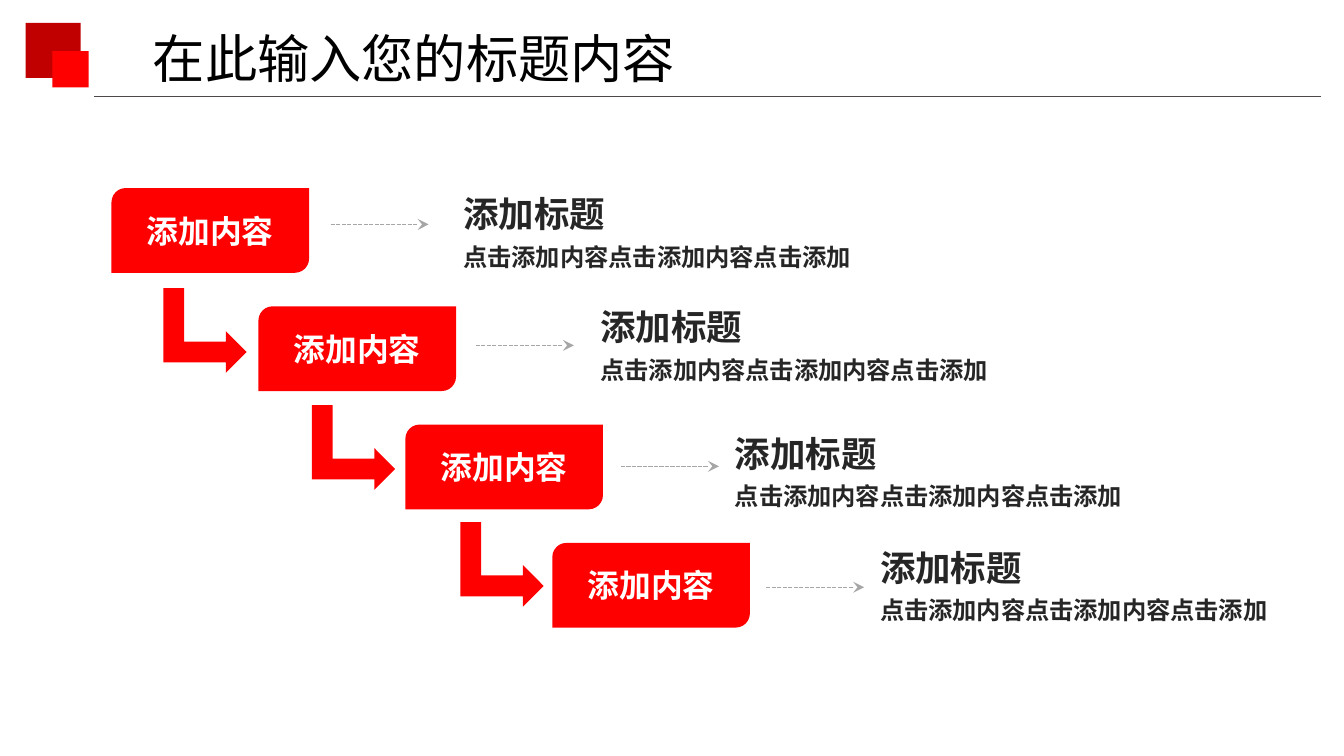
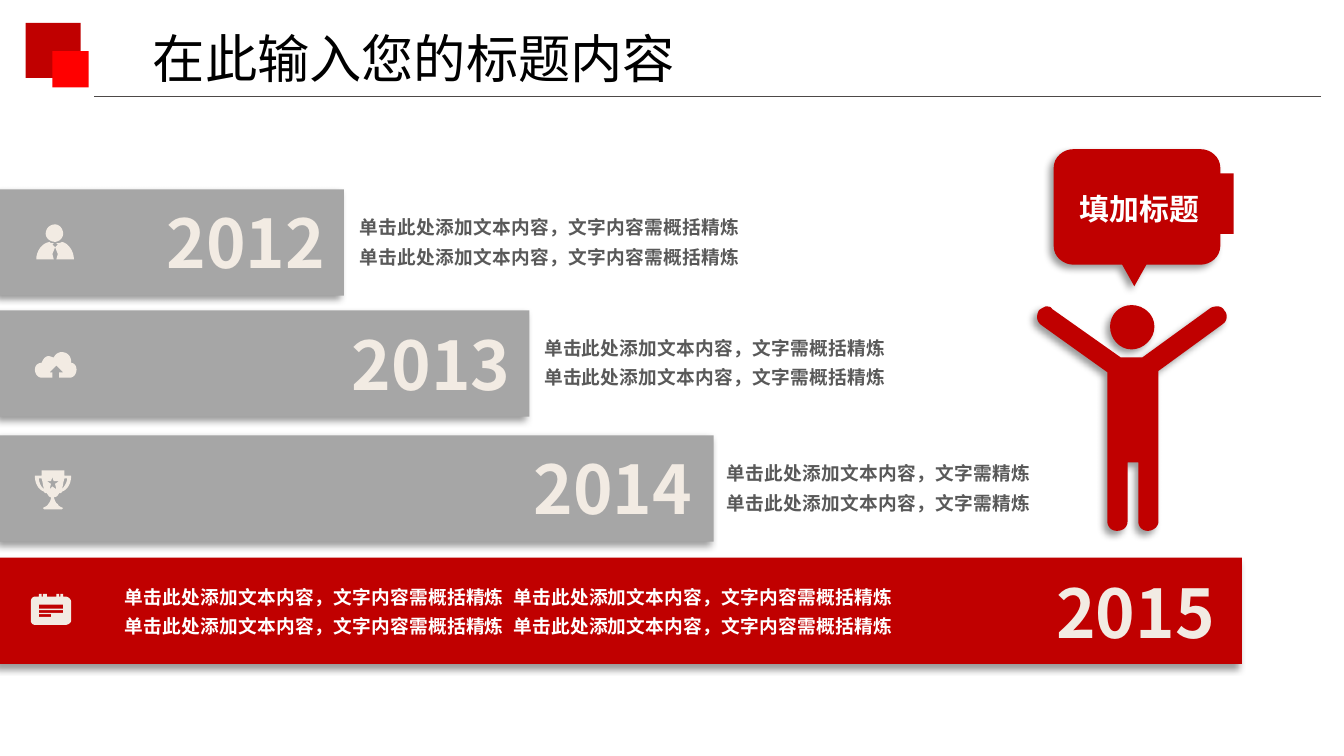
from lxml import etree
from pptx import Presentation
from pptx.dml.color import RGBColor
from pptx.enum.dml import MSO_LINE
from pptx.enum.shapes import MSO_CONNECTOR, MSO_SHAPE
from pptx.enum.text import MSO_ANCHOR, MSO_AUTO_SIZE, PP_ALIGN
from pptx.oxml.ns import qn
from pptx.util import Inches, Pt

RECT = MSO_SHAPE.RECTANGLE
CARD = MSO_SHAPE.ROUND_2_DIAG_RECTANGLE
BENT = MSO_SHAPE.BENT_UP_ARROW
LINE = MSO_CONNECTOR.STRAIGHT
DASH = MSO_LINE.SQUARE_DOT
MIDDLE = MSO_ANCHOR.MIDDLE
TOP = MSO_ANCHOR.TOP
LEFT = PP_ALIGN.LEFT
CENTER = PP_ALIGN.CENTER
GROW = MSO_AUTO_SIZE.SHAPE_TO_FIT_TEXT
FIXED = MSO_AUTO_SIZE.NONE

WIDE = Inches(10)
HIGH = WIDE * 9 // 16
FONT = "Noto Sans CJK SC"
COLORS = {
    "dark": "C00000", "red": "FF0000", "rule": "4D4948", "gray": "A6A6A6",
    "cream": "F2EBE3", "white": "FFFFFF", "black": "000000",
    "ink": "262626", "soft": "595959",
}

TITLE = "在此输入您的标题内容"

STEPS = [
    ("添加内容", "添加标题", "点击添加内容点击添加内容点击添加", 3.35, 1.4),
    ("添加内容", "添加标题", "点击添加内容点击添加内容点击添加", 4.37, 2.24),
    ("添加内容", "添加标题", "点击添加内容点击添加内容点击添加", 5.37, 3.18),
    ("添加内容", "添加标题", "点击添加内容点击添加内容点击添加", 6.45, 4.03),
]

USER = """
M 0.46 1.8 C 0.51 1.81 0.55 1.87 0.55 1.93 L 0.42 1.93 L 0.43 1.89 L 0.41 1.84
L 0.43 1.82 L 0.42 1.81 C 0.43 1.81 0.45 1.81 0.46 1.8
M 0.37 1.8 C 0.37 1.81 0.39 1.81 0.4 1.81 L 0.39 1.82 L 0.41 1.84 L 0.39 1.89
L 0.4 1.93 L 0.27 1.93 C 0.27 1.87 0.31 1.81 0.37 1.8
M 0.41 1.67 C 0.44 1.67 0.47 1.7 0.47 1.74 C 0.47 1.77 0.44 1.8 0.41 1.8
C 0.37 1.8 0.34 1.77 0.34 1.74 C 0.34 1.7 0.37 1.67 0.41 1.67
"""
CLOUD = """
M 0.46 2.62 C 0.5 2.62 0.53 2.65 0.53 2.69 L 0.53 2.7 C 0.55 2.7 0.57 2.72 0.57 2.75
C 0.57 2.78 0.55 2.81 0.52 2.81 L 0.44 2.81 L 0.44 2.77 L 0.47 2.77 L 0.42 2.72
L 0.37 2.77 L 0.39 2.77 L 0.39 2.81 L 0.31 2.81 C 0.28 2.81 0.26 2.78 0.26 2.75
C 0.26 2.72 0.28 2.7 0.31 2.7 C 0.32 2.67 0.34 2.65 0.36 2.65
C 0.38 2.65 0.39 2.66 0.4 2.66 C 0.41 2.64 0.43 2.62 0.46 2.62
"""
CUP = """
M 0.48 3.56 C 0.47 3.59 0.47 3.62 0.46 3.64 C 0.48 3.62 0.5 3.59 0.5 3.56
M 0.29 3.56 C 0.29 3.59 0.31 3.63 0.33 3.64 C 0.32 3.62 0.32 3.59 0.31 3.56
M 0.39 3.55 L 0.38 3.58 L 0.35 3.58 L 0.38 3.6 L 0.37 3.64 L 0.39 3.62 L 0.42 3.64
L 0.41 3.6 L 0.44 3.58 L 0.4 3.58
M 0.31 3.5 L 0.48 3.5 C 0.48 3.52 0.48 3.53 0.48 3.54 L 0.53 3.54
C 0.53 3.59 0.51 3.64 0.46 3.66 C 0.46 3.67 0.45 3.67 0.44 3.67
C 0.43 3.69 0.42 3.7 0.4 3.7 C 0.41 3.72 0.41 3.74 0.43 3.75
C 0.44 3.77 0.45 3.77 0.47 3.78 L 0.46 3.79 L 0.33 3.79 L 0.32 3.78
C 0.33 3.77 0.35 3.77 0.36 3.75 C 0.37 3.74 0.38 3.72 0.38 3.7
C 0.37 3.7 0.36 3.69 0.35 3.67 C 0.34 3.67 0.33 3.67 0.33 3.66
C 0.28 3.64 0.26 3.59 0.26 3.54 L 0.31 3.54 C 0.31 3.53 0.31 3.52 0.31 3.5
"""
NOTE = """
M 0.29 4.57 L 0.29 4.59 L 0.38 4.59 L 0.38 4.57
M 0.29 4.54 L 0.29 4.56 L 0.47 4.56 L 0.47 4.54
M 0.29 4.5 L 0.29 4.53 L 0.47 4.53 L 0.47 4.5
M 0.29 4.42 L 0.31 4.42 L 0.31 4.44 L 0.32 4.44 L 0.32 4.42 L 0.35 4.42 L 0.35 4.44
L 0.42 4.44 L 0.42 4.42 L 0.44 4.42 L 0.44 4.44 L 0.45 4.44 L 0.45 4.42 L 0.47 4.42
L 0.47 4.44 L 0.49 4.44 C 0.51 4.44 0.53 4.46 0.53 4.48 L 0.53 4.62
C 0.53 4.63 0.51 4.65 0.49 4.65 L 0.26 4.65 C 0.24 4.65 0.23 4.63 0.23 4.62
L 0.23 4.48 C 0.23 4.46 0.24 4.44 0.26 4.44 L 0.29 4.44
"""
MAN = """
M 9.06 2.28 C 9.08 2.28 9.1 2.29 9.11 2.31 C 9.14 2.34 9.13 2.39 9.1 2.41 L 8.62 2.76
L 8.62 3.88 C 8.62 3.92 8.58 3.95 8.54 3.95 C 8.5 3.95 8.47 3.92 8.47 3.88 L 8.47 3.44
L 8.39 3.44 L 8.39 3.88 C 8.39 3.92 8.36 3.95 8.31 3.95 C 8.27 3.95 8.24 3.92 8.24 3.88
L 8.24 2.77 L 7.75 2.42 C 7.71 2.39 7.71 2.35 7.73 2.31 C 7.74 2.3 7.76 2.29 7.78 2.28
C 7.8 2.28 7.82 2.28 7.83 2.3 L 8.34 2.66 L 8.5 2.66 L 9.01 2.29
C 9.03 2.28 9.05 2.28 9.06 2.28
M 8.42 2.27 C 8.51 2.27 8.59 2.34 8.59 2.43 C 8.59 2.52 8.51 2.6 8.42 2.6
C 8.33 2.6 8.26 2.52 8.26 2.43 C 8.26 2.34 8.33 2.27 8.42 2.27
"""
BUBBLE = """
M 7.99 1.11 L 8.93 1.11 C 9.01 1.11 9.08 1.17 9.08 1.25 L 9.08 1.83
C 9.08 1.91 9.01 1.97 8.93 1.97 L 8.53 1.97 L 8.44 2.13 L 8.35 1.97 L 7.99 1.97
C 7.91 1.97 7.84 1.91 7.84 1.83 L 7.84 1.25 C 7.84 1.17 7.91 1.11 7.99 1.11
"""

LONG = "单击此处添加文本内容，文字内容需概括精炼"
YEARS = [
    ("2012", (0, 1.41, 2.56), "gray", (1.14, 1.45), USER,
     LONG, (2.58, 1.51, 3.21), "soft"),
    ("2013", (0, 2.31, 3.94), "gray", (2.52, 2.36), CLOUD,
     "单击此处添加文本内容，文字需概括精炼", (3.95, 2.41, 3.25), "soft"),
    ("2014", (0, 3.24, 5.31), "gray", (3.87, 3.28), CUP,
     "单击此处添加文本内容，文字需精炼", (5.31, 3.34, 3.1), "soft"),
    ("2015", (-0.01, 4.15, 9.25), "dark", (7.76, 4.2), NOTE,
     LONG + "\t" + LONG, (0.83, 4.26, 6.69), "white"),
]
CALL = "填加标题"


def rgb(name):
    return RGBColor.from_string(COLORS[name])


def sub(parent, tag, **attrs):
    return etree.SubElement(parent, qn(tag), attrs)


def paint(shape, color, shade=False):
    shape.fill.solid()
    shape.fill.fore_color.rgb = rgb(color)
    shape.line.fill.background()
    shape.shadow.inherit = False
    if shade:
        glow = sub(shape._element.spPr.find(qn("a:effectLst")), "a:outerShdw",
                   blurRad=str(Pt(4)), dist=str(Pt(3)), dir="8100000",
                   algn="tr", rotWithShape="0")
        tint = sub(glow, "a:srgbClr", val=COLORS["black"])
        sub(tint, "a:alpha", val="40000")
    return shape


def block(slide, box, color, kind=RECT, shade=False):
    return paint(slide.shapes.add_shape(kind, *map(Inches, box)), color, shade)


def write(shape, text, size, color, bold=True, align=LEFT, anchor=TOP,
          space=None, wrap=True, fit=GROW, tab=None):
    frame = shape.text_frame
    frame.text = text
    frame.word_wrap = wrap
    frame.auto_size = fit
    frame.vertical_anchor = anchor
    for para in frame.paragraphs:
        if tab:
            tabs = sub(para._p.get_or_add_pPr(), "a:tabLst")
            sub(tabs, "a:tab", pos=str(Inches(tab)), algn="l")
        para.alignment = align
        if space:
            para.line_spacing = space
        for run in para.runs:
            font = run.font
            font.size, font.bold, font.name = Pt(size), bold, FONT
            font.color.rgb = rgb(color)
            props = run._r.get_or_add_rPr()
            sub(props, "a:ea", typeface=FONT)
            if space:
                props.set("spc", "20")


def label(slide, box, *args, **opts):
    write(slide.shapes.add_textbox(*map(Inches, box)), *args, **opts)


def rule(slide, start, end, color):
    line = slide.shapes.add_connector(LINE, *map(Inches, start + end))
    line.line.color.rgb = rgb(color)
    line.line.width = Pt(0.75)
    sub(line._element.spPr, "a:effectLst")
    return line


def curve(start, ctrl, steps=8):
    pts = [start] + list(zip(ctrl[::2], ctrl[1::2]))
    for n in range(1, steps + 1):
        t = n / steps
        mix = ((1 - t) ** 3, 3 * t * (1 - t) ** 2, 3 * t * t * (1 - t), t ** 3)
        yield tuple(sum(m * p[k] for m, p in zip(mix, pts)) for k in (0, 1))


def trace(text):
    for part in text.split("M")[1:]:
        pts = []
        for mark in part.replace("C", "L").split("L"):
            nums = [float(n) for n in mark.split()]
            pts += curve(pts[-1], nums) if len(nums) == 6 else [tuple(nums)]
        yield [(Inches(x), Inches(y)) for x, y in pts]


def draw(slide, text, color, shade=False):
    pen = None
    for pts in trace(text):
        if pen:
            pen.move_to(*pts[0])
        else:
            pen = slide.shapes.build_freeform(*pts[0])
        pen.add_line_segments(pts[1:], close=True)
    paint(pen.convert_to_shape(), color, shade)


def start(deck):
    slide = deck.slides.add_slide(deck.slide_layouts[6])
    block(slide, (0.19, 0.17, 0.41, 0.41), "dark")
    block(slide, (0.39, 0.38, 0.27, 0.27), "red")
    rule(slide, (9.83, 0.72), (0.7, 0.72), "rule")
    label(slide, (1.04, 0.15, 4.24, 0.57), TITLE, 28, "black", bold=False)
    return slide


def stairs(deck):
    slide = start(deck)
    for i, (name, head, note, x, y) in enumerate(STEPS):
        card = block(slide, (0.83 + 3.28 * i / 3, 1.4 + 0.88 * i, 1.47, 0.63), "red", CARD)
        write(card, name, 17, "white", align=CENTER, anchor=MIDDLE, fit=FIXED)
        left, mid = 2.46 + 1.08 * i, 1.67 + 0.9 * i
        dash = rule(slide, (left, mid), (left + 0.73, mid), "gray")
        dash.line.dash_style = DASH
        sub(dash.line._get_or_add_ln(), "a:tailEnd", type="stealth")
        label(slide, (x, y, 1.33, 0.38), head, 19, "ink", anchor=MIDDLE, fit=FIXED)
        label(slide, (x, y + 0.34, 3.1, 0.34), note, 13, "ink", anchor=MIDDLE, fit=FIXED)
    for i in range(len(STEPS) - 1):
        bent = block(slide, (1.21 + 2.21 * i / 2, 2.15 + 0.87 * i, 0.63, 0.62), "red", BENT)
        bent.rotation = 90


def growth(deck):
    slide = start(deck)
    for year, bar, color, spot, icon, note, area, ink in YEARS:
        block(slide, bar + (0.79,), color, shade=True)
        label(slide, spot + (1.45, 0.71), year, 36, "cream", wrap=False)
        draw(slide, icon, "cream")
        label(slide, area + (0.54,), "\n".join([note] * 2), 10, ink,
              space=1.3, tab=2.89 if "\t" in note else None)
    draw(slide, MAN, "dark", True)
    draw(slide, BUBBLE, "dark", True)
    write(block(slide, (7.93, 1.29, 1.25, 0.45), "dark"), CALL, 16, "white", space=1.3)


def main():
    deck = Presentation()
    deck.slide_width, deck.slide_height = WIDE, HIGH
    stairs(deck)
    growth(deck)
    deck.save("out.pptx")


if __name__ == "__main__":
    main()
